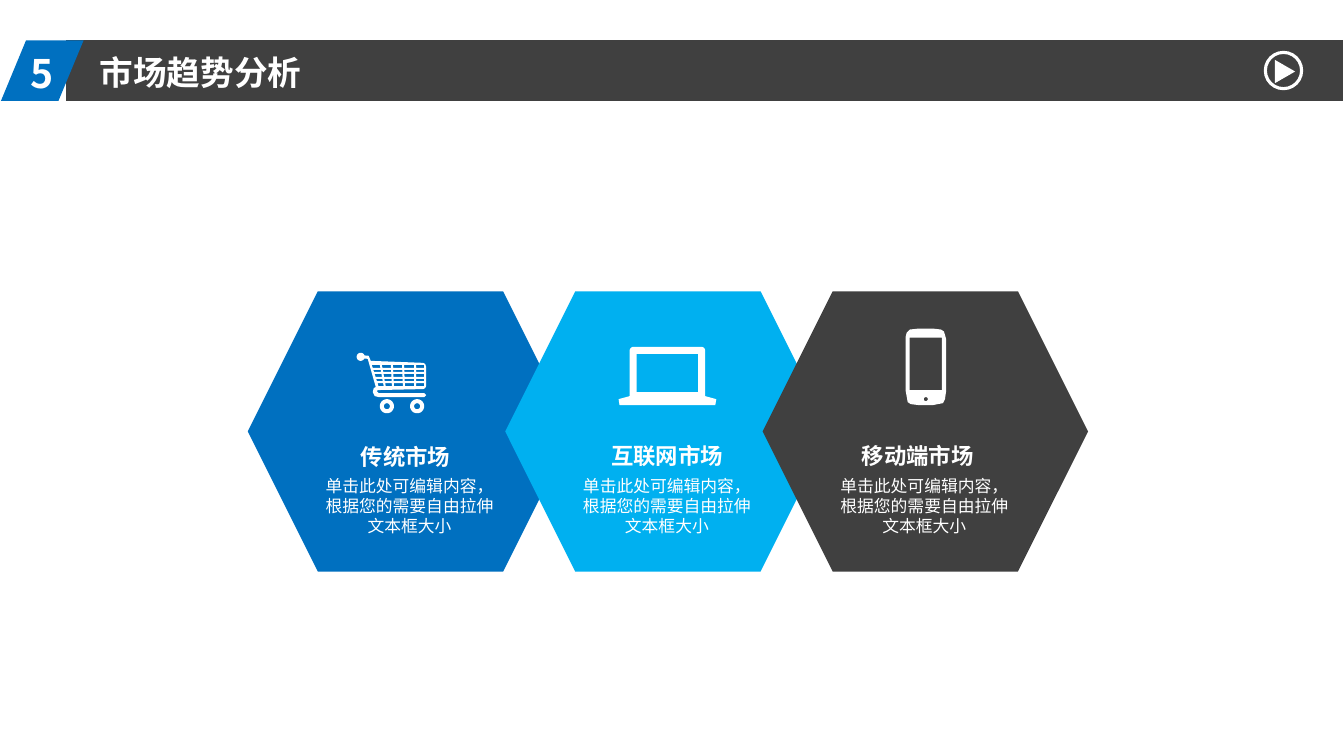
from dataclasses import dataclass
from itertools import product
from math import cos, radians, sin

from lxml.etree import SubElement
from pptx import Presentation
from pptx.dml.color import RGBColor
from pptx.enum.shapes import MSO_SHAPE
from pptx.enum.text import MSO_ANCHOR, MSO_AUTO_SIZE, PP_ALIGN
from pptx.oxml.ns import qn
from pptx.util import Inches, Pt


@dataclass(frozen=True)
class Theme:
    white: str = "FFFFFF"
    dark: str = "404040"
    blue: str = "0070C0"
    sky: str = "00B0F0"
    chinese_font: str = "Noto Sans CJK SC"
    body_font: str = "Arial"
    number_size: int = 28
    title_size: int = 24
    heading_size: int = 16
    body_size: int = 12


THEME = Theme()
DESCRIPTION = "单击此处可编辑内容，根据您的需要自由拉伸文本框大小"
HEXAGON_LEFT, HEXAGON_STEP = 2.46, 2.555


def paint(shape, fill=None, line=None, line_width=1):
    shape.shadow.inherit = False
    if fill:
        shape.fill.solid()
        shape.fill.fore_color.rgb = RGBColor.from_string(fill)
    else:
        shape.fill.background()
    if line:
        shape.line.color.rgb = RGBColor.from_string(line)
        shape.line.width = Pt(line_width)
    else:
        shape.line.fill.background()


def add_preset(slide, preset, box, adjustment=None, rotation=0, **colours):
    shape = slide.shapes.add_shape(preset, *map(Inches, box))
    if adjustment is not None:
        shape.adjustments[0] = adjustment
    shape.rotation = rotation
    paint(shape, **colours)


def write_text(shape, text, box, size, font=THEME.chinese_font, bold=False,
               align=PP_ALIGN.LEFT, margins=(0, 0)):
    """Place the shape and write one formatted paragraph into it."""
    shape.left, shape.top, shape.width, shape.height = map(Inches, box)
    frame = shape.text_frame
    frame.word_wrap = True
    frame.auto_size = MSO_AUTO_SIZE.NONE
    frame.vertical_anchor = MSO_ANCHOR.TOP
    frame.margin_left = frame.margin_right = Inches(margins[0])
    frame.margin_top = frame.margin_bottom = Inches(margins[1])
    paragraph = frame.paragraphs[0]
    paragraph.alignment = align
    run = paragraph.add_run()
    run.text = text
    run.font.size = Pt(size)
    run.font.bold = bold
    run.font.color.rgb = RGBColor.from_string(THEME.white)
    run.font.name = font
    east_asian = SubElement(run.font._element, qn("a:ea"))
    east_asian.set("typeface", THEME.chinese_font)


def add_text(slide, text, box, size, **text_format):
    text_box = slide.shapes.add_textbox(*map(Inches, box))
    write_text(text_box, text, box, size, **text_format)


def add_icon(slide, contours):
    """Draw closed contours as one white shape; inner contours are holes."""
    contours = [[(Inches(x), Inches(y)) for x, y in points] for points in contours]
    builder = slide.shapes.build_freeform(*contours[0][0])
    for index, points in enumerate(contours):
        if index:
            builder.move_to(*points[0])
        builder.add_line_segments(points[1:], close=True)
    paint(builder.convert_to_shape(), fill=THEME.white)


def arc(center_x, center_y, radius, start=0, end=360):
    steps = max(4, abs(end - start) // 12)
    angles = [radians(start + (end - start) * i / steps) for i in range(steps + 1)]
    return [(center_x + radius * cos(a), center_y + radius * sin(a)) for a in angles]


def rectangle(left, top, right, bottom):
    return [(left, top), (right, top), (right, bottom), (left, bottom)]


def basket_window(row, column):
    """Return one basket opening, whose sides lean between the column edges."""
    top, bottom = row
    upper, lower = column

    def edge(side, y):
        return upper[side] + (lower[side] - upper[side]) * (y - 3.62) / 0.22

    return [(edge(0, top), top), (edge(1, top), top),
            (edge(1, bottom), bottom), (edge(0, bottom), bottom)]


def add_cart(slide):
    body = arc(3.58, 3.54, 0.04, 25, 340) + [
        (3.66, 3.53), (3.68, 3.58), (4.2, 3.6), (4.22, 3.61), (4.23, 3.64),
        (4.23, 3.83), (4.22, 3.85), (4.2, 3.86), (3.75, 3.87), (3.74, 3.88),
        (3.76, 3.9), (4.21, 3.9), (4.23, 3.92), (4.21, 3.94), (3.76, 3.94),
        (3.72, 3.93), (3.7, 3.89), (3.71, 3.85), (3.73, 3.84), (3.65, 3.56)]
    rows = [(3.62, 3.65), (3.67, 3.69), (3.71, 3.74), (3.76, 3.78), (3.8, 3.83)]
    columns = [((3.69, 3.77), (3.76, 3.81)), ((3.79, 3.88), (3.83, 3.89)),
               ((3.9, 3.99), (3.91, 4)), ((4.01, 4.11), (4.02, 4.11)),
               ((4.13, 4.21), (4.13, 4.21))]
    windows = [basket_window(row, column) for row, column in product(rows, columns)]
    wheels = [arc(x, 4.03, radius) for x, radius in product((3.84, 4.14), (0.07, 0.03))]
    add_icon(slide, [body, *windows, *wheels])


def add_laptop(slide):
    case = [(6.14, 3.96), (6.25, 3.93), *arc(6.29, 3.48, 0.04, 180, 270),
            *arc(6.96, 3.48, 0.04, 270, 360), (7, 3.93), (7.11, 3.96),
            (7.1, 4.02), (6.15, 4.02)]
    add_icon(slide, [case, rectangle(6.32, 3.51, 6.93, 3.89)])


def add_phone(slide):
    case = [(8.99, 3.34), (9, 3.3), (9.03, 3.27), (9.12, 3.26), (9.26, 3.26),
            (9.34, 3.27), (9.37, 3.29), (9.39, 3.36), (9.39, 3.89), (9.38, 3.96),
            (9.36, 4), (9.26, 4.02), (9.12, 4.02), (9.04, 4.01), (9.01, 3.99),
            (8.99, 3.88)]
    add_icon(slide, [case, rectangle(9.03, 3.35, 9.35, 3.87), arc(9.19, 3.96, 0.02)])


def add_header(slide):
    add_preset(slide, MSO_SHAPE.PARALLELOGRAM, (0.66, 0.4, 12.67, 0.6), 0, fill=THEME.dark)
    add_preset(slide, MSO_SHAPE.PARALLELOGRAM, (0.01, 0.4, 0.82, 0.6), 0.415, fill=THEME.blue)
    add_text(slide, "5", (0.2, 0.44, 0.69, 0.57), THEME.number_size,
             bold=True, margins=(0.1, 0.05))
    title = slide.shapes.title
    write_text(title, "市场趋势分析", (0.89, 0.46, 2.74, 0.5), THEME.title_size,
               bold=True, margins=(0.1, 0.05))
    title.element.getparent().append(title.element)  # bring in front of the bar
    add_preset(slide, MSO_SHAPE.OVAL, (12.56, 0.52, 0.36, 0.36),
               line=THEME.white, line_width=2.25)
    add_preset(slide, MSO_SHAPE.ISOSCELES_TRIANGLE, (12.64, 0.61, 0.23, 0.2),
               rotation=90, fill=THEME.white)


def add_market(slide, index, heading, heading_box, colour, add_symbol):
    left = HEXAGON_LEFT + index * HEXAGON_STEP
    add_preset(slide, MSO_SHAPE.HEXAGON, (left, 2.89, 3.23, 2.78), 0.25, fill=colour)
    add_symbol(slide)
    add_text(slide, heading, heading_box, THEME.heading_size, font=THEME.body_font,
             bold=True, align=PP_ALIGN.CENTER)
    add_text(slide, DESCRIPTION, (left + 0.73, 4.72, 1.75, 0.6), THEME.body_size,
             font=THEME.body_font, align=PP_ALIGN.CENTER)


def main():
    presentation = Presentation()
    presentation.slide_width, presentation.slide_height = Inches(13.34), Inches(7.5)
    slide = presentation.slides.add_slide(presentation.slide_layouts[5])
    add_header(slide)
    markets = [
        ("传统市场", (3.54, 4.4, 0.97, 0.27), THEME.blue, add_cart),
        ("互联网市场", (6.04, 4.39, 1.16, 0.27), THEME.sky, add_laptop),
        ("移动端市场", (8.41, 4.39, 1.4, 0.27), THEME.dark, add_phone),
    ]
    for index, market in enumerate(markets):
        add_market(slide, index, *market)
    presentation.save("out.pptx")


if __name__ == "__main__":
    main()
